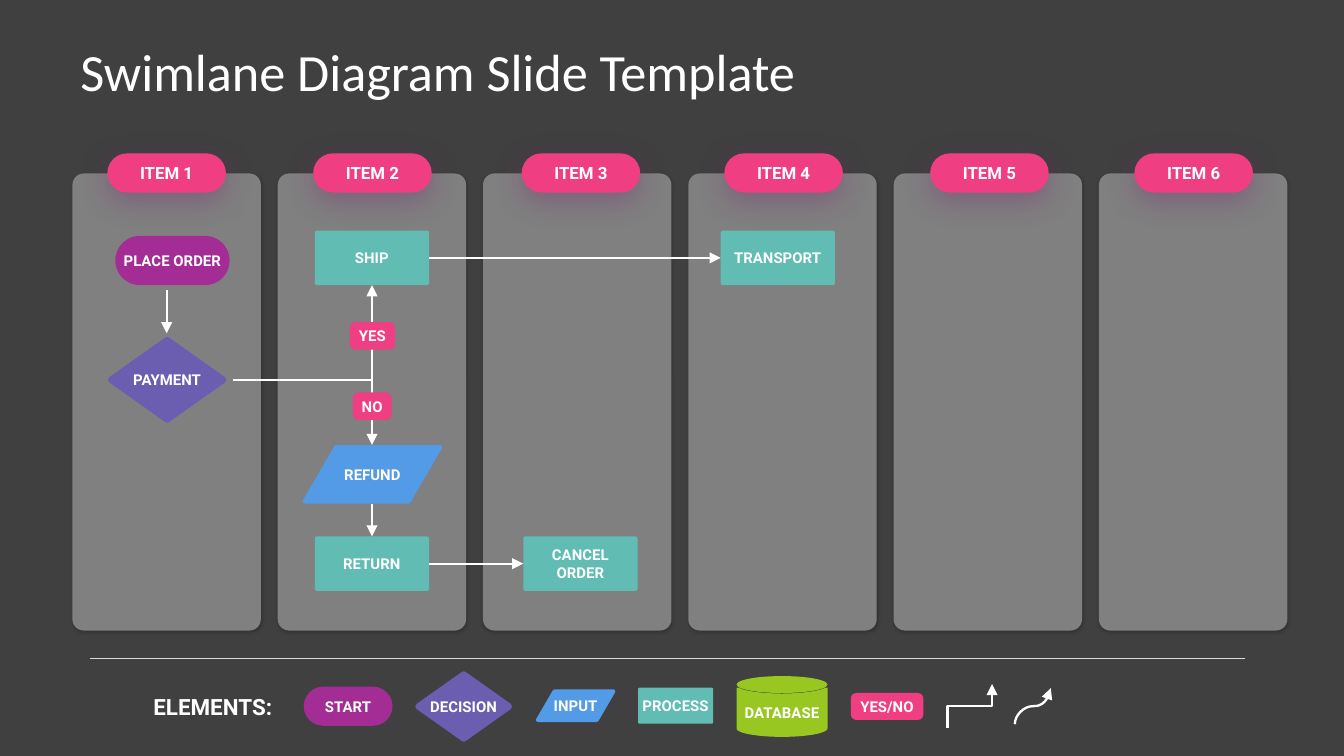
from math import cos, pi, sin

from lxml import etree
from pptx import Presentation
from pptx.dml.color import RGBColor
from pptx.enum.shapes import MSO_CONNECTOR, MSO_SHAPE
from pptx.enum.text import MSO_ANCHOR, PP_ALIGN
from pptx.oxml.ns import qn
from pptx.util import Cm, Pt

STRAIGHT, ELBOW, CURVE = MSO_CONNECTOR.STRAIGHT, MSO_CONNECTOR.ELBOW, MSO_CONNECTOR.CURVE
ROUNDED, DIAMOND = MSO_SHAPE.ROUNDED_RECTANGLE, MSO_SHAPE.DIAMOND
PARALLELOGRAM, OVAL = MSO_SHAPE.PARALLELOGRAM, MSO_SHAPE.OVAL
MIDDLE, CENTER = MSO_ANCHOR.MIDDLE, PP_ALIGN.CENTER
TOP, LEFT, BOTTOM, RIGHT = range(4)

DARK = RGBColor(0x40, 0x40, 0x40)
GRAY = RGBColor(0x80, 0x80, 0x80)
SILVER = RGBColor(0xD8, 0xDB, 0xD8)
WHITE = RGBColor(0xFF, 0xFF, 0xFF)
BLACK = RGBColor(0x00, 0x00, 0x00)
PINK = RGBColor(0xEF, 0x3F, 0x82)
PLUM = RGBColor(0x7A, 0x20, 0x6F)
PURPLE = RGBColor(0xA3, 0x2C, 0x95)
VIOLET = RGBColor(0x6B, 0x5E, 0xB1)
BLUE = RGBColor(0x53, 0x9B, 0xE7)
TEAL = RGBColor(0x61, 0xBC, 0xB3)
GREEN = RGBColor(0x99, 0xC7, 0x22)

# kind: preset, colour, adjustment, corner radius in cm (for sharp presets)
KINDS = {
    "lane": (ROUNDED, GRAY, 0.06, 0),
    "header": (ROUNDED, PINK, 0.5, 0),
    "start": (ROUNDED, PURPLE, 0.5, 0),
    "decision": (DIAMOND, VIOLET, None, 0.06),
    "input": (PARALLELOGRAM, BLUE, 0.58, 0.04),
    "process": (ROUNDED, TEAL, 0.04, 0),
    "answer": (ROUNDED, PINK, 0.2, 0),
}
# kind: colour, opacity in percent, blur and distance in points, angle in degrees
SHADOWS = {"lane": (BLACK, 23, 2, 1, 70), "header": (PLUM, 37, 17, 4, 90)}


def style_block(shape, color, text="", size=8):
    shape.shadow.inherit = False
    shape.fill.solid()
    shape.fill.fore_color.rgb = color
    shape.line.fill.background()
    frame = shape.text_frame
    frame.text = text
    frame.word_wrap = False
    frame.vertical_anchor = MIDDLE
    frame.margin_left = frame.margin_right = frame.margin_top = frame.margin_bottom = 0
    for paragraph in frame.paragraphs:
        paragraph.alignment = CENTER
        for run in paragraph.runs:
            run.font.name, run.font.size, run.font.bold = "Roboto", Pt(size), True
            run.font.color.rgb = WHITE


def add_block(kind, text, left, top, width, height, size=8):
    """Add one diagram element; a thick outline rounds the corners of sharp presets."""
    preset, color, adjustment, radius = KINDS[kind]
    shape = slide.shapes.add_shape(
        preset, Cm(left + radius), Cm(top + radius),
        Cm(width - 2 * radius), Cm(height - 2 * radius))
    if adjustment is not None:
        shape.adjustments[0] = adjustment
    style_block(shape, color, text, size)
    if radius:
        shape.line.color.rgb = color
        shape.line.width = Cm(2 * radius)
        etree.SubElement(shape.line._get_or_add_ln(), qn("a:round"))
    if kind in SHADOWS:
        shadow_color, opacity, blur, distance, angle = SHADOWS[kind]
        effects = shape.element.spPr.find(qn("a:effectLst"))
        shadow = etree.SubElement(
            effects, qn("a:outerShdw"), blurRad=str(Pt(blur)), dist=str(Pt(distance)),
            dir=str(angle * 60000), algn="ctr", rotWithShape="0")
        shade = etree.SubElement(shadow, qn("a:srgbClr"), val=str(shadow_color))
        etree.SubElement(shade, qn("a:alpha"), val=str(opacity * 1000))
    return shape


presentation = Presentation()
presentation.slide_width, presentation.slide_height = Cm(25.4), Cm(14.29)
slide = presentation.slides.add_slide(presentation.slide_layouts[6])
slide.background.fill.solid()
slide.background.fill.fore_color.rgb = DARK

# Title
title = slide.shapes.add_textbox(Cm(1.27), Cm(0.58), Cm(22.86), Cm(1.5))
title.text_frame.text = "Swimlane Diagram Slide Template"
title.text_frame.word_wrap = True
title.text_frame.vertical_anchor = MIDDLE
title_font = title.text_frame.paragraphs[0].runs[0].font
title_font.name, title_font.size = "Calibri", Pt(28)
title_font.color.rgb = WHITE

# Lanes and their headers
header_lefts = (2.03, 5.92, 9.86, 13.69, 17.58, 21.44)
for index in range(len(header_lefts)):
    add_block("lane", "", 1.37 + index * 3.88, 3.28, 3.56, 8.64)
for number, left in enumerate(header_lefts, start=1):
    add_block("header", f"ITEM {number}", left, 2.9, 2.24, 0.74, size=9)

# Legend and flow steps
blocks = {}
for kind, text, left, top, width, height in (
    ("start", "START", 5.74, 12.98, 1.68, 0.74),
    ("decision", "DECISION", 7.85, 12.69, 1.83, 1.33),
    ("input", "INPUT", 10.13, 13.03, 1.5, 0.62),
    ("process", "PROCESS", 12.06, 13, 1.42, 0.68),
    ("answer", "YES/NO", 16.08, 13.1, 1.37, 0.51),
    ("start", "PLACE ORDER", 2.18, 4.46, 2.16, 0.93),
    ("decision", "PAYMENT", 2.04, 6.37, 2.24, 1.62),
    ("process", "SHIP", 5.95, 4.36, 2.16, 1.03),
    ("process", "TRANSPORT", 13.62, 4.36, 2.16, 1.03),
    ("input", "REFUND", 5.72, 8.41, 2.64, 1.11),
    ("process", "RETURN", 5.95, 10.14, 2.16, 1.03),
    ("process", "CANCEL\nORDER", 9.89, 10.14, 2.16, 1.03),
):
    blocks[text] = add_block(kind, text, left, top, width, height)

legend_label = slide.shapes.add_textbox(Cm(2.9), Cm(13.1), Cm(2.64), Cm(0.51))
frame = legend_label.text_frame
frame.text = "ELEMENTS:"
frame.margin_left = frame.margin_right = frame.margin_top = frame.margin_bottom = 0
label_font = frame.paragraphs[0].runs[0].font
label_font.name, label_font.size, label_font.bold = "Roboto", Pt(12), True
label_font.color.rgb = WHITE

# Database cylinder: a lid, and a body between two elliptic arcs
database = slide.shapes.add_group_shape()
lid = database.shapes.add_shape(OVAL, Cm(13.92), Cm(12.78), Cm(1.72), Cm(0.32))
style_block(lid, GREEN)
angles = [step * pi / 24 for step in range(25)]
outline = [(14.78 + 0.86 * cos(a), 13.77 + 0.16 * sin(a)) for a in angles]
outline += [(14.78 + 0.86 * cos(a), max(13, 12.95 + 0.16 * sin(a))) for a in reversed(angles)]
points = [(Cm(x), Cm(y)) for x, y in outline]
builder = database.shapes.build_freeform(*points[0])
builder.add_line_segments(points[1:])
style_block(builder.convert_to_shape(), GREEN, "DATABASE")

# Lines: type, begin, end, arrowhead, block joined at begin, block joined at end
for line_type, begin, end, arrow, begin_join, end_join in (
    (STRAIGHT, (1.71, 12.45), (23.52, 12.45), False, None, None),
    (STRAIGHT, (8.11, 4.88), (13.62, 4.88), True, ("SHIP", RIGHT), ("TRANSPORT", LEFT)),
    (STRAIGHT, (7.03, 7.18), (7.03, 8.41), True, None, None),
    (STRAIGHT, (8.11, 10.66), (9.89, 10.66), True, ("RETURN", RIGHT), ("CANCEL\nORDER", LEFT)),
    (STRAIGHT, (7.03, 7.18), (7.03, 5.39), True, None, ("SHIP", BOTTOM)),
    (STRAIGHT, (4.4, 7.18), (7.03, 7.18), False, None, None),
    (STRAIGHT, (3.15, 5.49), (3.15, 6.3), True, None, None),
    (STRAIGHT, (7.03, 9.52), (7.03, 10.14), True, None, ("RETURN", TOP)),
    (ELBOW, (18.75, 13.77), (17.91, 12.93), True, None, None),
    (CURVE, (19.86, 13.69), (19.18, 13.01), True, None, None),
):
    connector = slide.shapes.add_connector(
        line_type, *(Cm(value) for value in begin + end))
    is_divider = begin[1] == 12.45
    connector.line.color.rgb = SILVER if is_divider else WHITE
    connector.line.width = Pt(0.75 if is_divider else 1.25)
    properties = connector.element.spPr
    if arrow:
        etree.SubElement(properties.find(qn("a:ln")), qn("a:tailEnd"), type="triangle")
    etree.SubElement(properties, qn("a:effectLst"))
    if line_type != STRAIGHT:  # a quarter turn makes the line leave upwards
        properties.find(qn("a:xfrm")).set("rot", "5400000")
    if begin_join:
        connector.begin_connect(blocks[begin_join[0]], begin_join[1])
    if end_join:
        connector.end_connect(blocks[end_join[0]], end_join[1])

# Answers lie on top of the branch line
add_block("answer", "YES", 6.61, 6.09, 0.86, 0.52)
add_block("answer", "NO", 6.67, 7.42, 0.73, 0.52)

presentation.save("out.pptx")
